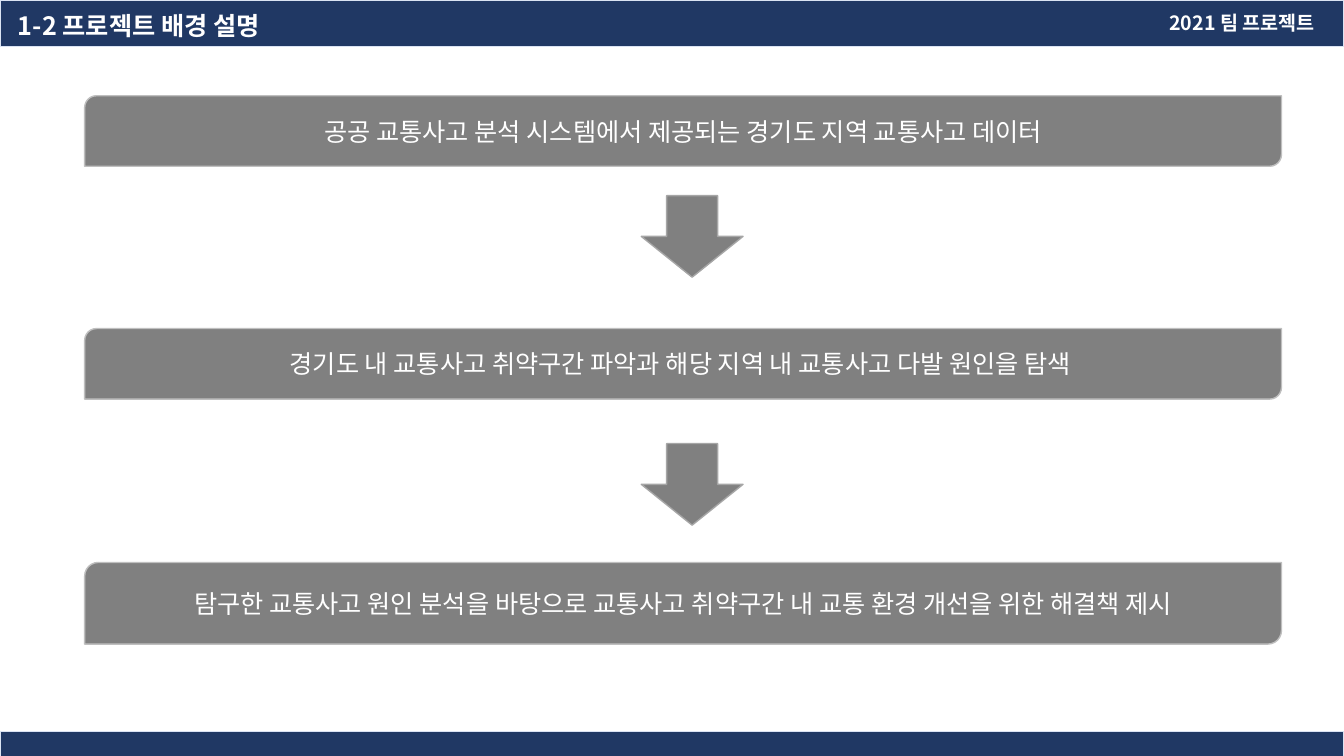
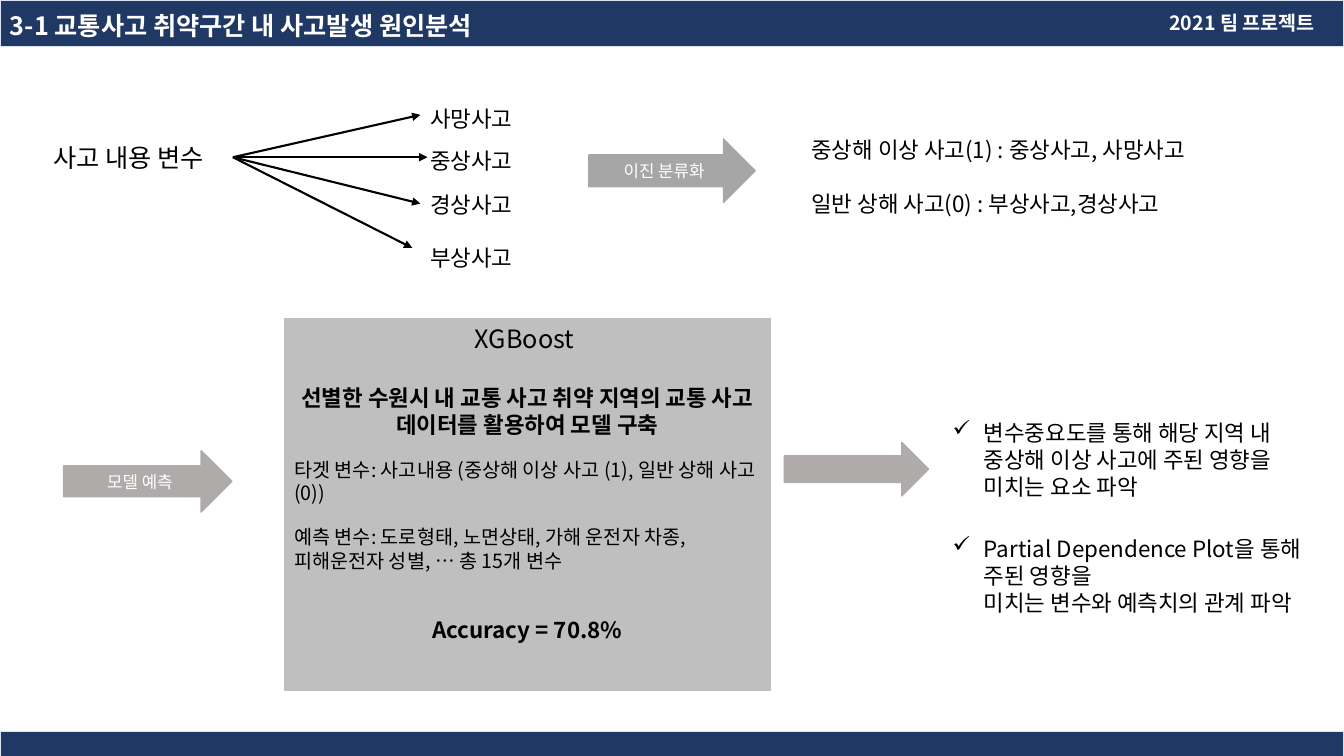
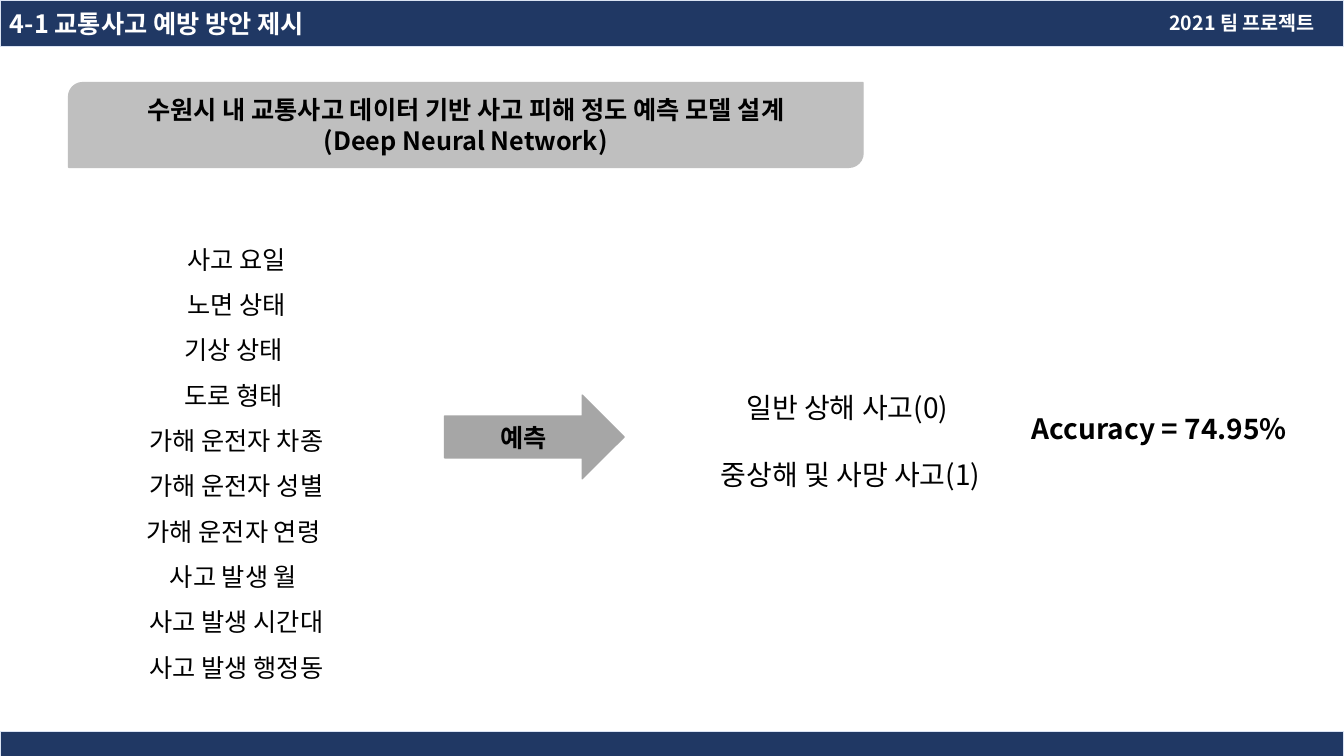
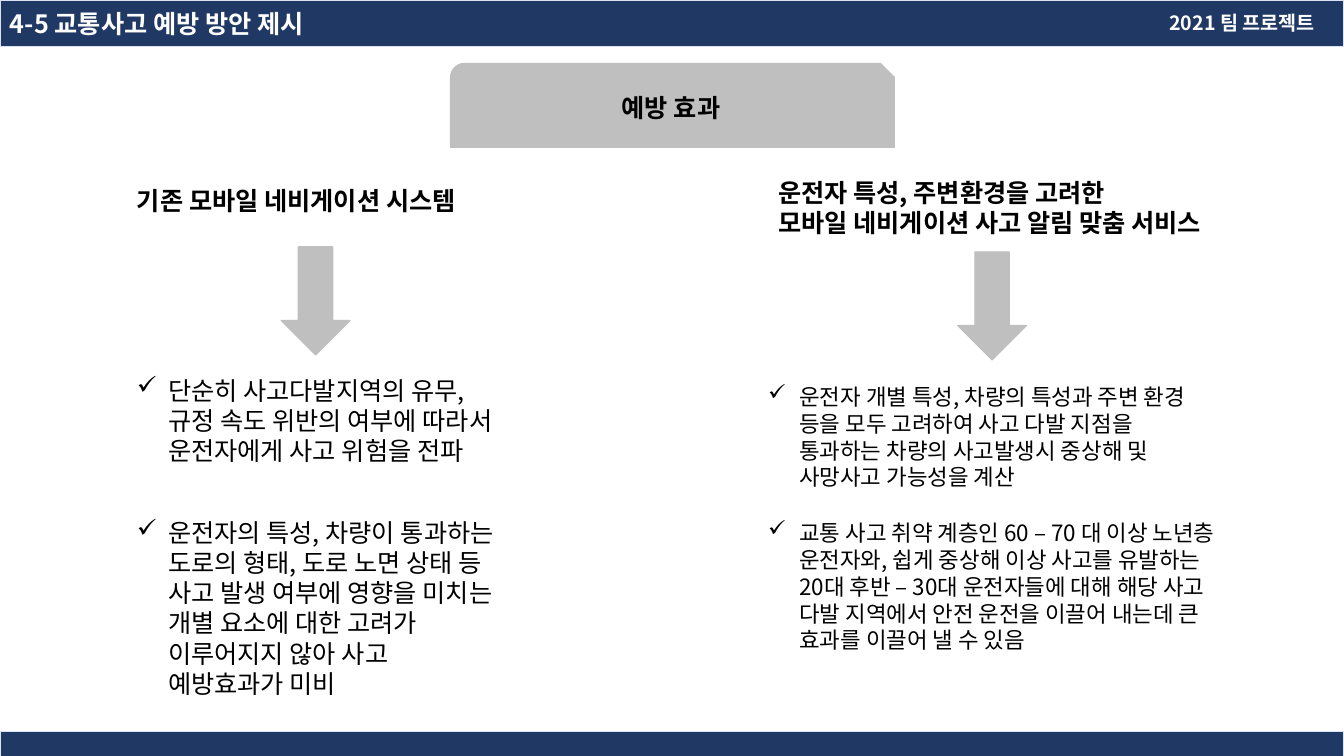
from lxml.etree import SubElement
from pptx import Presentation
from pptx.dml.color import RGBColor
from pptx.enum.shapes import MSO_CONNECTOR, MSO_SHAPE
from pptx.enum.text import MSO_ANCHOR, PP_ALIGN
from pptx.oxml.ns import qn
from pptx.util import Inches, Pt

FONT = "Noto Sans CJK KR"
NAVY, PALE_BLUE = "203864", "DAE3F3"
BLACK, WHITE = "000000", "FFFFFF"
DARK, MID, WARM, LIGHT = "808080", "A6A6A6", "AFABAB", "BFBFBF"
WIDTH, HEIGHT = 13.33, 7.5
HANG = 0.31


def rgb(value):
    """Turn a hex string into a colour."""
    return RGBColor.from_string(value)


def set_indent(p, bullet):
    """Hang a paragraph behind its bullet, or just indent it if the bullet is empty."""
    pPr = p._p.get_or_add_pPr()
    pPr.set("marL", str(Inches(HANG)))
    if bullet:
        pPr.set("indent", str(-Inches(HANG)))
        SubElement(pPr, qn("a:buChar")).set("char", bullet)


def add_para(p, text, size=18, color=BLACK, bold=False, align=PP_ALIGN.LEFT,
             before=0, spacing=None, bullet=None):
    """Fill one paragraph with formatted text."""
    p.alignment = align
    p.space_before = Pt(before)
    if spacing:
        p.line_spacing = spacing
    if bullet is not None:
        set_indent(p, bullet)
    r = p.add_run()
    r.text = text
    r.font.size, r.font.bold, r.font.name = Pt(size), bold, FONT
    r.font.color.rgb = rgb(color)
    SubElement(r._r.get_or_add_rPr(), qn("a:ea")).set("typeface", FONT)


def write(sp, paras, anchor=MSO_ANCHOR.TOP, **fmt):
    """Write a string, or a list of strings and (string, format) pairs, into a shape."""
    tf = sp.text_frame
    tf.word_wrap = True
    tf.vertical_anchor = anchor
    for i, item in enumerate([paras] if isinstance(paras, str) else paras):
        text, own = (item, {}) if isinstance(item, str) else item
        p = tf.add_paragraph() if i else tf.paragraphs[0]
        add_para(p, text, **{**fmt, **own})


def add_text(s, box, paras, **fmt):
    """Add a text box."""
    write(s.shapes.add_textbox(*map(Inches, box)), paras, **fmt)


def add_block(s, kind, box, fill, line=None, paras=None,
              anchor=MSO_ANCHOR.MIDDLE, align=PP_ALIGN.CENTER, **fmt):
    """Add a filled preset shape with optional text."""
    sp = s.shapes.add_shape(kind, *map(Inches, box))
    sp.shadow.inherit = False
    sp.fill.solid()
    sp.fill.fore_color.rgb = rgb(fill)
    sp.line.color.rgb = rgb(line or fill)
    sp.line.width = Pt(1)
    if paras:
        write(sp, paras, anchor=anchor, align=align, **fmt)


def add_arrow(s, start, end):
    """Draw a thin black arrow between two points."""
    c = s.shapes.add_connector(MSO_CONNECTOR.STRAIGHT, *map(Inches, start + end))
    c.line.color.rgb = rgb(BLACK)
    c.line.width = Pt(1.5)
    spPr = c._element.spPr
    SubElement(spPr.find(qn("a:ln")), qn("a:tailEnd")).set("type", "triangle")
    SubElement(spPr, qn("a:effectLst"))


def new_slide(prs, title, x=0, y=0.03):
    """Add a slide with its two bands, title and project label."""
    s = prs.slides.add_slide(prs.slide_layouts[6])
    for top, height in ((0, 0.46), (7.26, 0.29)):
        add_block(s, MSO_SHAPE.RECTANGLE, (0, top, WIDTH, height), NAVY, PALE_BLUE)
    add_text(s, (11.5, 0.06, 1.83, 0.34), "2021 팀 프로젝트", size=14, color=WHITE, bold=True)
    add_text(s, (x, y, 6.89, 0.4), title, color=WHITE, bold=True)
    return s


def background_slide(prs):
    """Three steps joined by down arrows."""
    s = new_slide(prs, "1-2 프로젝트 배경 설명", 0.08, 0.05)
    steps = (
        (0.95, 0.7, "공공 교통사고 분석 시스템에서 제공되는 경기도 지역 교통사고 데이터"),
        (3.26, 0.7, "경기도 내 교통사고 취약구간 파악과 해당 지역 내 교통사고 다발 원인을 탐색 "),
        (5.58, 0.81, "탐구한 교통사고 원인 분석을 바탕으로 교통사고 취약구간 내 교통 환경 개선을 위한 해결책 제시"),
    )
    for y, h, text in steps:
        add_block(s, MSO_SHAPE.ROUND_2_DIAG_RECTANGLE, (0.84, y, 11.87, h),
                  DARK, LIGHT, text, color=WHITE)
    for y in (1.94, 4.4):
        add_block(s, MSO_SHAPE.DOWN_ARROW, (6.36, y, 1.01, 0.81), DARK, MID)


def variable_fan(s, x, y):
    """The accident variable fanning out to its four classes."""
    add_text(s, (x, y, 1.88, 0.4), "사고 내용 변수")
    classes = (
        ("사망사고", -0.37, 3.74, -0.22),
        ("중상사고", 0.05, 3.81, 0.2),
        ("경상사고", 0.49, 3.74, 0.66),
        ("부상사고", 1.01, 3.66, 1.1),
    )
    for name, dy, tip_x, tip_y in classes:
        add_arrow(s, (x + 1.88, y + 0.2), (x + tip_x, y + tip_y))
        add_text(s, (x + 3.74, y + dy, 1.5, 0.37), name, size=16)


def model_panel(s, box):
    """The panel that describes the model."""
    left = {"align": PP_ALIGN.LEFT, "size": 14, "before": 14.4}
    add_block(s, MSO_SHAPE.RECTANGLE, box, LIGHT, paras=[
        "XGBoost ",
        ("선별한 수원시 내 교통 사고 취약 지역의 교통 사고 데이터를 활용하여 모델 구축",
         {"size": 16, "bold": True, "before": 21.6}),
        ("타겟 변수: 사고내용 (중상해 이상 사고 (1), 일반 상해 사고 (0))", left),
        ("예측 변수: 도로형태, 노면상태, 가해 운전자 차종, 피해운전자 성별, … 총 15개 변수", left),
        ("Accuracy = 70.8%", {"size": 16, "bold": True, "before": 31.2}),
    ], anchor=MSO_ANCHOR.TOP)


def cause_slide(prs):
    """From the accident variable through the model to its findings."""
    s = new_slide(prs, "3-1 교통사고 취약구간 내 사고발생 원인분석", y=0.05)
    variable_fan(s, 0.43, 1.36)
    arrows = (
        ((5.84, 1.38, 1.65, 0.63), MID, "이진 분류화"),
        ((0.63, 4.47, 1.67, 0.61), WARM, "모델 예측"),
        ((7.78, 4.39, 1.43, 0.53), WARM, None),
    )
    for box, fill, text in arrows:
        add_block(s, MSO_SHAPE.RIGHT_ARROW, box, fill, paras=text, size=12, color=WHITE)
    add_text(s, (7.95, 1.3, 4.95, 0.91), [
        "중상해 이상 사고(1) : 중상사고, 사망사고",
        ("일반 상해 사고(0) : 부상사고,경상사고", {"before": 19.2}),
    ], size=16)
    model_panel(s, (2.82, 3.16, 4.82, 3.69))
    add_text(s, (9.35, 4.11, 3.88, 0.91),
             "변수중요도를 통해 해당 지역 내 중상해 이상 사고에 주된 영향을 미치는 요소 파악",
             size=16, bullet="✓")
    add_text(s, (9.35, 5.26, 3.98, 0.91), [
        "Partial Dependence Plot을 통해 주된 영향을",
        ("미치는 변수와 예측치의 관계 파악", {"bullet": ""}),
    ], size=16, bullet="✓")


def prediction_slide(prs):
    """Input variables, the predicted classes and the accuracy."""
    s = new_slide(prs, "4-1 교통사고 예방 방안 제시")
    add_block(s, MSO_SHAPE.ROUND_2_DIAG_RECTANGLE, (0.68, 0.82, 7.88, 0.84), LIGHT, paras=[
        "수원시 내 교통사고 데이터 기반 사고 피해 정도 예측 모델 설계",
        "(Deep Neural Network)",
    ], bold=True)
    add_text(s, (0.46, 2.22, 3.77, 4.59), [
        "사고 요일", "노면 상태", "기상 상태 ", "도로 형태 ", "가해 운전자 차종",
        "가해 운전자 성별", "가해 운전자 연령 ", "사고 발생 월 ",
        "사고 발생 시간대", "사고 발생 행정동",
    ], align=PP_ALIGN.CENTER, spacing=1.5)
    add_block(s, MSO_SHAPE.RIGHT_ARROW, (4.41, 3.92, 1.78, 0.83), MID, paras="예측", bold=True)
    add_text(s, (6.89, 3.82, 3.09, 1.11), [
        "일반 상해 사고(0) ",
        ("중상해 및 사망 사고(1)", {"before": 24}),
    ], size=20, align=PP_ALIGN.CENTER)
    add_text(s, (10.09, 4.03, 2.82, 0.44), "Accuracy = 74.95%",
             size=20, bold=True, align=PP_ALIGN.CENTER)


def service_column(s, box, heading, heading_at, arrow_at, points, size):
    """A heading, a down arrow and ticked points, placed from the box's corner."""
    x, y, w, h = box
    dx, heading_w = heading_at
    add_text(s, (x + dx, y, heading_w, 0.4 * len(heading)), heading, bold=True)
    add_block(s, MSO_SHAPE.DOWN_ARROW, (x + arrow_at[0], y + arrow_at[1], 0.68, 1.07), LIGHT)
    tops = [dy for dy, _ in points]
    for (dy, text), end in zip(points, tops[1:] + [h]):
        add_text(s, (x, y + dy, w, end - dy), text, size=size, bullet="✓")


def effect_slide(prs):
    """The existing system beside the tailored service."""
    s = new_slide(prs, "4-5 교통사고 예방 방안 제시")
    add_block(s, MSO_SHAPE.SNIP_ROUND_RECTANGLE, (4.47, 0.63, 4.4, 0.83), LIGHT,
              paras="예방 효과", bold=True)
    service_column(
        s, (1.26, 1.79, 3.75, 5.21), ["기존 모바일 네비게이션 시스템"], (0, 3.75), (1.53, 0.66),
        ((1.88, "단순히 사고다발지역의 유무, 규정 속도 위반의 여부에 따라서 운전자에게 사고 위험을 전파"),
         (3.29, "운전자의 특성, 차량이 통과하는 도로의 형태, 도로 노면 상태 등 사고 발생 여부에 "
                "영향을 미치는 개별 요소에 대한 고려가 이루어지지 않아 사고 예방효과가 미비")), 18)
    service_column(
        s, (7.52, 1.71, 4.65, 5.11),
        ["운전자 특성, 주변환경을 고려한", "모바일 네비게이션 사고 알림 맞춤 서비스"],
        (0.1, 4.94), (1.98, 0.79),
        ((2.04, "운전자 개별 특성, 차량의 특성과 주변 환경 등을 모두 고려하여 사고 다발 지점을 "
                "통과하는 차량의 사고발생시 중상해 및 사망사고 가능성을 계산"),
         (3.39, "교통 사고 취약 계층인 60 – 70 대 이상 노년층 운전자와, 쉽게 중상해 이상 사고를 "
                "유발하는 20대 후반 – 30대 운전자들에 대해 해당 사고 다발 지역에서 안전 운전을 "
                "이끌어 내는데 큰 효과를 이끌어 낼 수 있음")), 16)


def main():
    """Build the four slides and save them."""
    prs = Presentation()
    prs.slide_width, prs.slide_height = Inches(WIDTH), Inches(HEIGHT)
    for build in (background_slide, cause_slide, prediction_slide, effect_slide):
        build(prs)
    prs.save("out.pptx")


if __name__ == "__main__":
    main()
